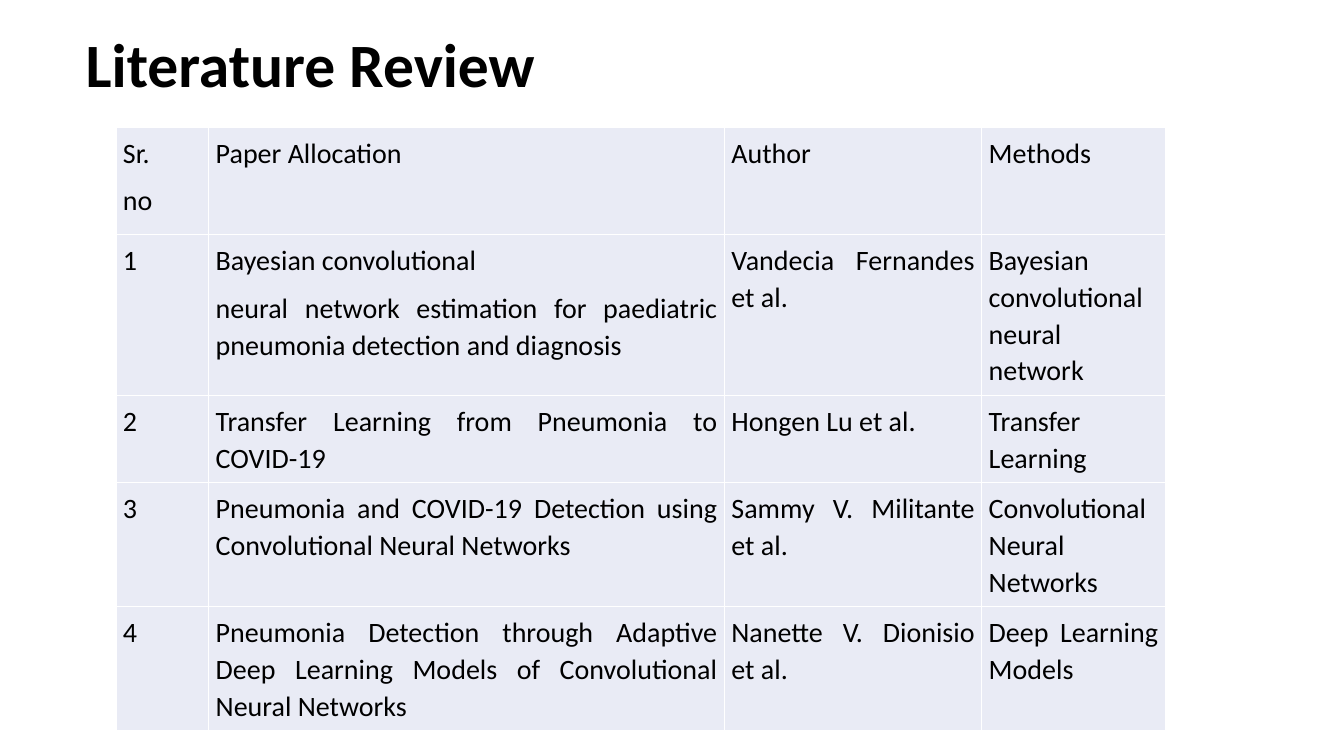
from pptx import Presentation
from pptx.dml.color import RGBColor
from pptx.enum import text
from pptx.util import Pt

# Content: a line break inside a cell starts a new paragraph
TITLE = "Literature Review"
PAPERS = [
    ("Sr.\nno", "Paper Allocation", "Author", "Methods"),
    ("1", "Bayesian convolutional\nneural network estimation for paediatric "
          "pneumonia detection and diagnosis",
     "Vandecia Fernandes et al.", "Bayesian convolutional neural network"),
    ("2", "Transfer Learning from Pneumonia to COVID-19",
     "Hongen Lu et al.", "Transfer Learning"),
    ("3", "Pneumonia and COVID-19 Detection using Convolutional Neural Networks",
     "Sammy V. Militante et al.", "Convolutional Neural Networks"),
    ("4", "Pneumonia Detection through Adaptive Deep Learning Models of "
          "Convolutional Neural Networks",
     "Nanette V. Dionisio et al.", "Deep Learning Models"),
]
COLORS = {"text": "000000", "cell": "E9EBF5"}
FONT = "Calibri"

# Layout in points
TITLE_BOX = (54, 14.4, 806.4, 68.4)
TABLE_LEFT, TABLE_TOP = 82.8, 90.7
COL_WIDTHS = (66.3, 368.4, 183.8, 131)
ROW_HEIGHTS = (77, 101.5, 39.6, 64.1, 64.1)
CELL_INSET = 5


def format_paragraph(p, size, align, spacing, after=0, bold=False):
    p.alignment = align
    p.line_spacing = spacing
    p.space_after = Pt(after)
    for r in p.runs:
        r.font.name = FONT
        r.font.size = Pt(size)
        r.font.bold = bold
        r.font.color.rgb = RGBColor.from_string(COLORS["text"])


prs = Presentation()
prs.slide_width, prs.slide_height = Pt(960), Pt(540)
s = prs.slides.add_slide(prs.slide_layouts[5])

# Title
title = s.shapes.title
title.left, title.top, title.width, title.height = map(Pt, TITLE_BOX)
tf = title.text_frame
tf.text = TITLE
tf.vertical_anchor = text.MSO_ANCHOR.MIDDLE
format_paragraph(tf.paragraphs[0], 44, text.PP_ALIGN.LEFT, 0.9, bold=True)

# Table: the default style supplies the thin white grid
table = s.shapes.add_table(
    len(PAPERS), len(COL_WIDTHS), Pt(TABLE_LEFT), Pt(TABLE_TOP),
    Pt(sum(COL_WIDTHS)), Pt(sum(ROW_HEIGHTS))).table
table.first_row = table.horz_banding = False
for column, width in zip(table.columns, COL_WIDTHS):
    column.width = Pt(width)

for row, height, paper in zip(table.rows, ROW_HEIGHTS, PAPERS):
    row.height = Pt(height)
    for cell, entry in zip(row.cells, paper):
        cell.fill.solid()
        cell.fill.fore_color.rgb = RGBColor.from_string(COLORS["cell"])
        cell.margin_left = cell.margin_right = Pt(CELL_INSET)
        cell.margin_top = cell.margin_bottom = Pt(CELL_INSET)
        cell.text_frame.text = entry
        for p in cell.text_frame.paragraphs:
            format_paragraph(p, 20, text.PP_ALIGN.JUSTIFY, 1.07, after=8)

prs.save("out.pptx")
